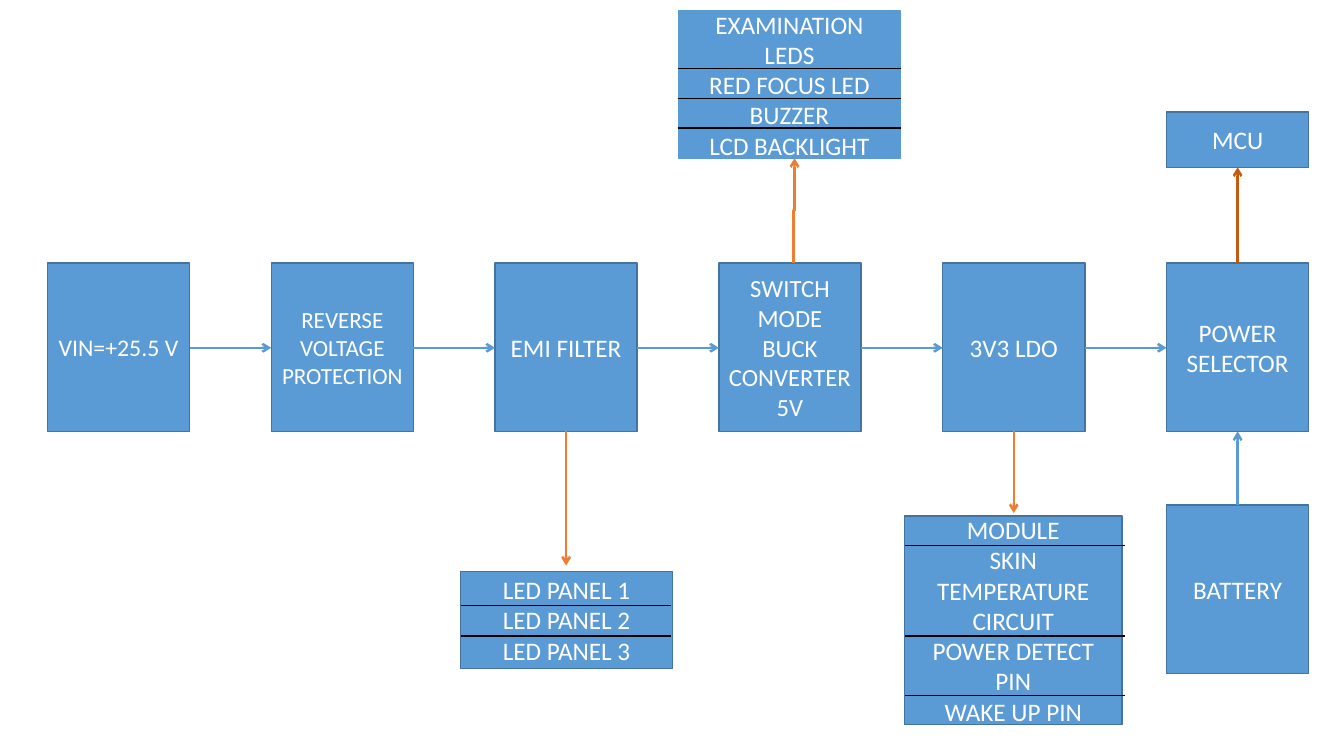
from lxml import etree
from pptx import Presentation
from pptx.dml.color import RGBColor
from pptx.enum.shapes import MSO_CONNECTOR, MSO_SHAPE
from pptx.enum.text import MSO_ANCHOR, PP_ALIGN
from pptx.oxml.ns import qn
from pptx.util import Inches, Pt

RECTANGLE = MSO_SHAPE.RECTANGLE
STRAIGHT, ELBOW = MSO_CONNECTOR.STRAIGHT, MSO_CONNECTOR.ELBOW
MIDDLE, CENTER = MSO_ANCHOR.MIDDLE, PP_ALIGN.CENTER

BLUE, EDGE, WHITE, BLACK = "5B9BD5", "43739E", "FFFFFF", "000000"
ORANGE, RUST = "ED7D31", "C55A11"

# Grid of the supply chain, in inches
LEFT, TOP, PITCH = 0.47, 2.61, 2.22
BLOCK_W, BLOCK_H = 1.41, 1.67
MIDLINE, BOTTOM = 3.45, TOP + BLOCK_H
STAGES = [
    (["VIN=+25.5 V"], 17),
    (["REVERSE VOLTAGE PROTECTION"], 16.5),
    (["EMI FILTER"], 18),
    (["SWITCH MODE BUCK CONVERTER", "5V"], 17.6),
    (["3V3 LDO"], 18),
    (["POWER SELECTOR"], 18),
]


def color(value):
    return RGBColor.from_string(value)


def column(index):
    return LEFT + PITCH * index


def center(index):
    return column(index) + BLOCK_W / 2


def write(frame, lines, size=18, font="Calibri", ink=WHITE):
    frame.word_wrap = True
    frame.vertical_anchor = MIDDLE
    for index, text in enumerate(lines):
        para = frame.paragraphs[0] if index == 0 else frame.add_paragraph()
        para.alignment = CENTER
        span = para.add_run()
        span.text = text
        span.font.name = font
        span.font.size = Pt(size)
        span.font.color.rgb = color(ink)


def add_block(page, box, lines, size=18, edge=EDGE):
    block = page.shapes.add_shape(RECTANGLE, *map(Inches, box))
    block.shadow.inherit = False
    block.fill.solid()
    block.fill.fore_color.rgb = color(BLUE)
    block.line.color.rgb = color(edge)
    block.line.width = Pt(1)
    write(block.text_frame, lines, size)


def add_line(page, start, end, ink=BLACK, width=1, arrow=False, kind=STRAIGHT):
    line = page.shapes.add_connector(kind, *map(Inches, (*start, *end)))
    line.line.color.rgb = color(ink)
    line.line.width = Pt(width)
    properties = line._element.spPr
    etree.SubElement(properties, qn("a:effectLst"))
    if arrow:
        etree.SubElement(properties.find(qn("a:ln")), qn("a:tailEnd"), type="arrow")
    return line


def add_arrow(page, start, end, ink=BLUE, kind=STRAIGHT):
    return add_line(page, start, end, ink, 1.75, True, kind)


def add_rising_elbow(page, start, end, ink):
    """An elbow that leaves and arrives vertically: a level one turned by 270 degrees."""
    (x1, y1), (x2, y2) = start, end
    x, y = (x1 + x2) / 2, (y1 + y2) / 2
    rise, shift = (y1 - y2) / 2, (x2 - x1) / 2
    elbow = add_arrow(page, (x - rise, y - shift), (x + rise, y + shift), ink, ELBOW)
    elbow._element.spPr.find(qn("a:xfrm")).set("rot", str(270 * 60000))


def add_chain(page):
    for index, (lines, size) in enumerate(STAGES):
        add_block(page, (column(index), TOP, BLOCK_W, BLOCK_H), lines, size)
        if index:
            add_arrow(page, (column(index - 1) + BLOCK_W, MIDLINE), (column(index), MIDLINE))


def add_load_list(page, box, lines, dividers, span, edge=EDGE):
    """A block of loads; dividers are heights below its top, span the rule's two ends."""
    left, top = box[:2]
    add_block(page, box, lines, edge=edge)
    for offset in dividers:
        add_line(page, (left + span[0], top + offset), (left + span[1], top + offset))


def add_selector_links(page):
    x, left = center(5), column(5)
    battery_top, mcu_top, mcu_height = 5.01, 1.11, 0.55
    add_block(page, (left, battery_top, BLOCK_W, BLOCK_H), ["BATTERY"])
    add_block(page, (left, mcu_top, BLOCK_W, mcu_height), ["MCU"])
    add_arrow(page, (x, battery_top), (x, BOTTOM))
    add_arrow(page, (x, TOP), (x, mcu_top + mcu_height), RUST)


def main():
    deck = Presentation()
    deck.slide_width, deck.slide_height = Inches(13.33), Inches(7.5)
    page = deck.slides.add_slide(deck.slide_layouts[6])

    # Main supply chain, with battery and controller at its end
    add_chain(page)
    add_selector_links(page)

    # Loads on the 5 V converter
    add_rising_elbow(page, (7.87, TOP), (7.88, 1.57), ORANGE)
    add_load_list(page, (6.73, 0.11, 2.2, 1.46),
                  ["EXAMINATION LEDS", "RED FOCUS LED", "BUZZER", "LCD BACKLIGHT"],
                  (0.57, 0.87, 1.16), (-0.01, 2.21), edge=BLUE)

    # Loads on the filter
    add_arrow(page, (center(2), BOTTOM), (center(2), 5.61), ORANGE)
    add_load_list(page, (4.57, 5.67, 2.1, 0.96),
                  [f"LED PANEL {number}" for number in (1, 2, 3)],
                  (0.34, 0.64), (0, 2.09))

    # Loads on the 3.3 V regulator
    add_arrow(page, (center(4), BOTTOM), (center(4), 5.09), ORANGE)
    add_load_list(page, (8.97, 5.12, 2.16, 2.07),
                  ["MODULE", "SKIN TEMPERATURE CIRCUIT", "POWER DETECT PIN", "WAKE UP PIN"],
                  (0.29, 1.19, 1.78), (0.01, 2.19))

    deck.save("out.pptx")


if __name__ == "__main__":
    main()
